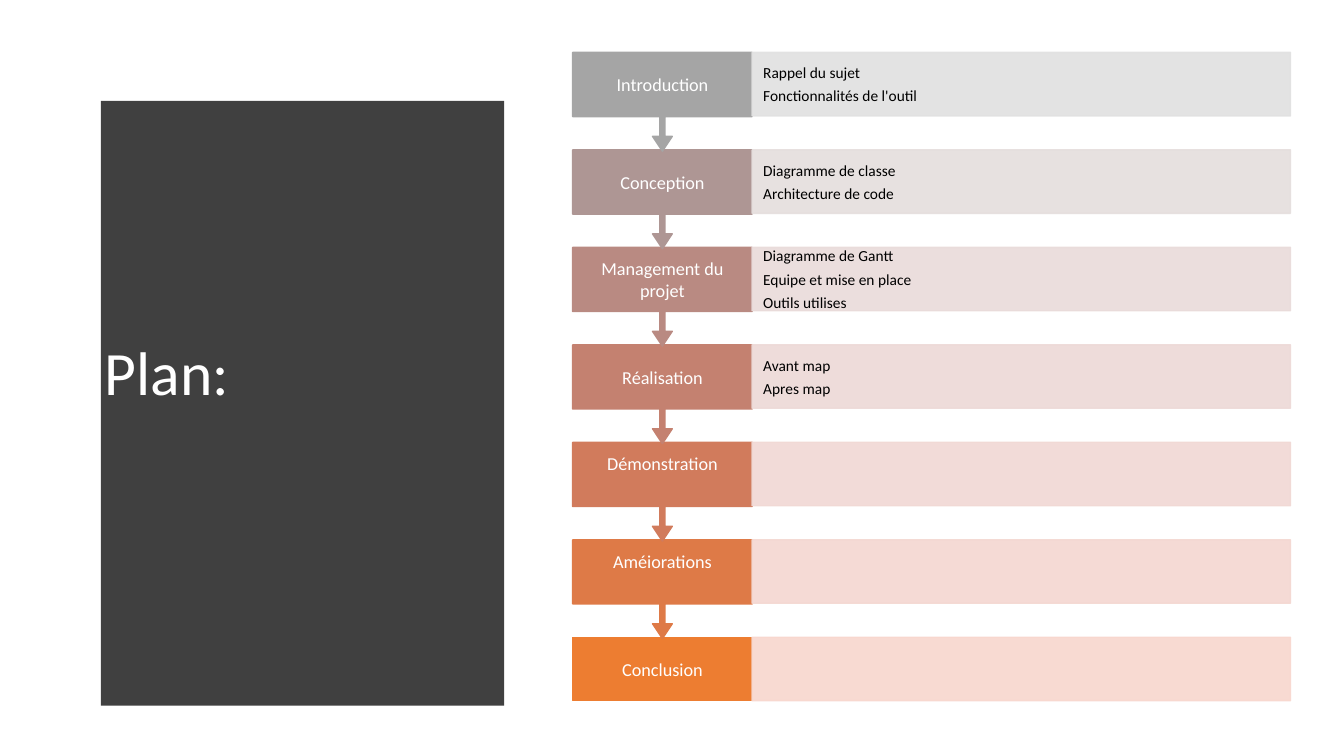
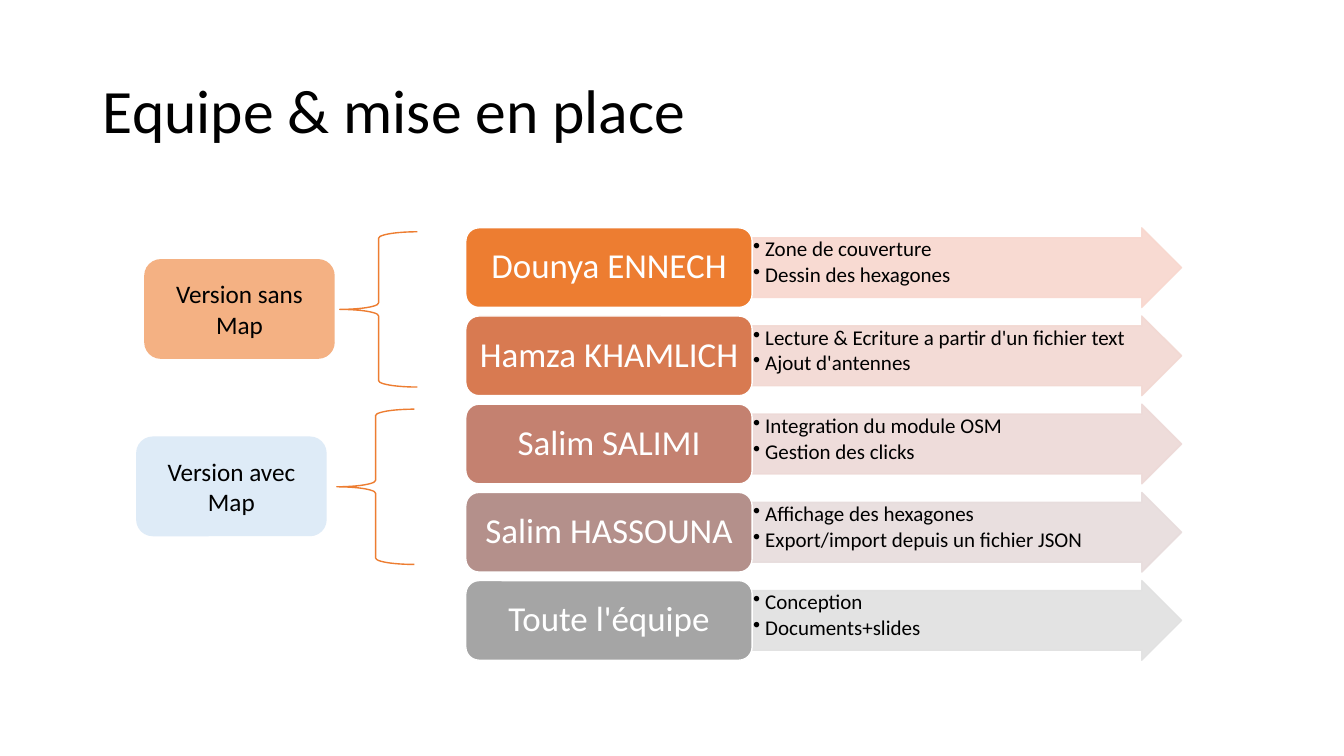
from dataclasses import dataclass

from lxml import etree
from pptx import Presentation
from pptx.dml.color import RGBColor
from pptx.enum.shapes import MSO_SHAPE
from pptx.enum.text import MSO_ANCHOR, PP_ALIGN
from pptx.oxml.ns import qn
from pptx.util import Inches, Pt

RECTANGLE = MSO_SHAPE.RECTANGLE
ROUNDED = MSO_SHAPE.ROUNDED_RECTANGLE
CALLOUT = MSO_SHAPE.DOWN_ARROW_CALLOUT
ARROW = MSO_SHAPE.RIGHT_ARROW
BRACE = MSO_SHAPE.LEFT_BRACE
TOP, MIDDLE = MSO_ANCHOR.TOP, MSO_ANCHOR.MIDDLE
LEFT, CENTER = PP_ALIGN.LEFT, PP_ALIGN.CENTER

FONT = "Calibri"
TITLE_ONLY = 5
SLIDE_W, SLIDE_H = 13.33, 7.5
COLORS = {
    "white": "FFFFFF", "black": "000000", "panel": "404040",
    "orange": "ED7D31", "peach": "F4B183", "sky": "DEEBF7",
}


@dataclass(frozen=True)
class Box:
    left: float
    top: float
    width: float
    height: float

    def emu(self) -> list[int]:
        return [Inches(v) for v in (self.left, self.top, self.width, self.height)]


@dataclass(frozen=True)
class Rows:
    """Equal rows with a label column and a detail column."""
    left: float
    top: float
    pitch: float
    height: float
    label_width: float
    detail_width: float

    def label(self, row: int) -> Box:
        return Box(self.left, self.top + row * self.pitch, self.label_width, self.height)

    def detail(self, row: int) -> Box:
        return Box(self.left + self.label_width, self.top + row * self.pitch,
                   self.detail_width, self.height)


@dataclass(frozen=True)
class TextStyle:
    size: float
    color: str = "white"
    align: PP_ALIGN = CENTER
    anchor: MSO_ANCHOR = MIDDLE
    insets: tuple[float, float, float, float] = (0.1, 0.05, 0.1, 0.05)
    line_spacing: float = 1.0
    space_after: float = 0
    bullet_indent: float = 0


@dataclass(frozen=True)
class Entry:
    label: str
    color: str
    tint: str
    details: tuple[str, ...] = ()
    raised: bool = False


@dataclass(frozen=True)
class Version:
    label: str
    color: str
    box: Box
    brace: Box


PLAN_ROWS = Rows(5.68, 0.52, 0.967, 0.63, 1.78, 5.34)
CALLOUT_HEIGHT = 0.98
CALLOUT_ADJUSTMENTS = (0.05, 0.1, 0.15, 0.65)
TEAM_ROWS = Rows(4.62, 2.26, 0.875, 0.79, 2.84, 4.26)

TITLE = TextStyle(44, "black", LEFT, line_spacing=0.9)
PANEL_TITLE = TextStyle(44, "white", LEFT, line_spacing=0.9)
STEP = TextStyle(13, insets=(0.13, 0.1, 0.13, 0.1))
RAISED_STEP = TextStyle(13, insets=(0.13, 0.1, 0.13, 0.32))
STEP_DETAIL = TextStyle(11, "black", LEFT, insets=(0.11, 0.15, 0.11, 0.15),
                        space_after=3.5)
MEMBER = TextStyle(25, line_spacing=0.9)
TASK = TextStyle(15, "black", LEFT, TOP, (0.01, 0.01, 0.01, 0.01), 0.9, 2.25, 0.12)
VERSION = TextStyle(18, "black")

PLAN = (
    Entry("Introduction", "A5A5A5", "E1E1E1",
          ("Rappel du sujet", "Fonctionnalités de l'outil")),
    Entry("Conception", "AE9694", "E5DEDD",
          ("Diagramme de classe", "Architecture de code")),
    Entry("Management du projet", "B98A82", "E9DBDA",
          ("Diagramme de Gantt", "Equipe et mise en place", "Outils utilises")),
    Entry("Réalisation", "C48170", "EDD9D7", ("Avant map", "Apres map")),
    Entry("Démonstration", "D17B5C", "F1D8D4", raised=True),
    Entry("Améiorations", "DE7A47", "F4D7D1", raised=True),
    Entry("Conclusion", COLORS["orange"], "F8D7CE"),
)
TEAM = (
    Entry("Dounya ENNECH", COLORS["orange"], "F8D7CE",
          ("Zone de couverture", "Dessin des hexagones")),
    Entry("Hamza KHAMLICH", "D87A51", "F2D8D2",
          ("Lecture & Ecriture a partir d'un fichier text", "Ajout d'antennes")),
    Entry("Salim SALIMI", "C48170", "EDD9D7",
          ("Integration du module OSM", "Gestion des clicks")),
    Entry("Salim HASSOUNA", "B4908B", "E7DCDC",
          ("Affichage des hexagones", "Export/import depuis un fichier JSON")),
    Entry("Toute l'équipe", "A5A5A5", "E1E1E1", ("Conception", "Documents+slides")),
)
VERSIONS = (
    Version("Version sans Map", COLORS["peach"],
            Box(1.43, 2.57, 1.89, 0.99), Box(3.37, 2.3, 0.77, 1.54)),
    Version("Version avec Map", COLORS["sky"],
            Box(1.35, 4.33, 1.89, 0.99), Box(3.34, 4.06, 0.77, 1.54)),
)


def paint(shape, fill: str, line: str | None = None) -> None:
    shape.shadow.inherit = False
    shape.fill.solid()
    shape.fill.fore_color.rgb = RGBColor.from_string(fill)
    if line is None:
        shape.line.fill.background()
    else:
        shape.line.color.rgb = RGBColor.from_string(line)
        shape.line.width = Pt(1)


def make_translucent(shape) -> None:
    """Set fill and line to 90 % opacity."""
    for color in shape.element.spPr.iter(qn("a:srgbClr")):
        etree.SubElement(color, qn("a:alpha"), val="90000")


def add_bullet(paragraph, indent: float) -> None:
    properties = paragraph._p.get_or_add_pPr()
    properties.set("marL", str(Inches(indent)))
    properties.set("indent", str(-Inches(indent)))
    etree.SubElement(properties, qn("a:buChar"), char="•")


def write(shape, lines: tuple[str, ...], style: TextStyle) -> None:
    frame = shape.text_frame
    frame.word_wrap = True
    frame.vertical_anchor = style.anchor
    (frame.margin_left, frame.margin_top,
     frame.margin_right, frame.margin_bottom) = map(Inches, style.insets)
    for index, line in enumerate(lines):
        paragraph = frame.add_paragraph() if index else frame.paragraphs[0]
        if style.bullet_indent:
            add_bullet(paragraph, style.bullet_indent)
        paragraph.alignment = style.align
        paragraph.line_spacing = style.line_spacing
        paragraph.space_after = Pt(style.space_after)
        run = paragraph.add_run()
        run.text = line
        run.font.name = FONT
        run.font.size = Pt(style.size)
        run.font.color.rgb = RGBColor.from_string(COLORS[style.color])


def add_block(slide, kind: MSO_SHAPE, box: Box, fill: str, line: str | None = None,
              adjustments: tuple[float, ...] = ()):
    block = slide.shapes.add_shape(kind, *box.emu())
    for index, value in enumerate(adjustments):
        block.adjustments[index] = value
    paint(block, fill, line)
    return block


def add_titled_slide(deck, text: str, box: Box, style: TextStyle):
    slide = deck.slides.add_slide(deck.slide_layouts[TITLE_ONLY])
    title = slide.shapes.title
    title.left, title.top, title.width, title.height = box.emu()
    write(title, (text,), style)
    return slide


def add_curved_panel(slide) -> None:
    """Dark panel behind the title, its right edge bulging as a parabola."""
    left, edge, top, bottom, bulge, steps = 0.53, 5.08, 0.52, 6.96, 0.24, 40
    curve = []
    for step in range(steps + 1):
        share = step / steps
        curve.append((edge + bulge * 4 * share * (1 - share),
                      top + (bottom - top) * share))
    builder = slide.shapes.build_freeform(left, top, scale=Inches(1))
    builder.add_line_segments([*curve, (left, bottom)], close=True)
    panel = builder.convert_to_shape()
    paint(panel, COLORS["panel"])
    slide.shapes.title.element.addprevious(panel.element)


def build_plan(deck) -> None:
    slide = add_titled_slide(deck, "Plan:", Box(0.94, 1.11, 3.74, 5.24), PANEL_TITLE)
    add_curved_panel(slide)
    last = len(PLAN) - 1
    for row, entry in reversed(list(enumerate(PLAN))):
        cell = PLAN_ROWS.label(row)
        if row == last:
            step = add_block(slide, RECTANGLE, cell, entry.color, entry.color)
        else:
            box = Box(cell.left, cell.top, cell.width, CALLOUT_HEIGHT)
            step = add_block(slide, CALLOUT, box, entry.color, entry.color,
                             CALLOUT_ADJUSTMENTS)
        write(step, (entry.label,), RAISED_STEP if entry.raised else STEP)
        band = add_block(slide, RECTANGLE, PLAN_ROWS.detail(row), entry.tint, entry.tint)
        make_translucent(band)
        write(band, entry.details, STEP_DETAIL)


def build_team(deck) -> None:
    slide = add_titled_slide(deck, "Equipe & mise en place",
                             Box(0.92, 0.4, 11.5, 1.45), TITLE)
    for row, entry in enumerate(TEAM):
        tasks = add_block(slide, ARROW, TEAM_ROWS.detail(row), entry.tint, entry.tint,
                          (0.75, 0.5))
        make_translucent(tasks)
        write(tasks, entry.details, TASK)
        member = add_block(slide, ROUNDED, TEAM_ROWS.label(row), entry.color,
                           COLORS["white"])
        write(member, (entry.label,), MEMBER)
    for version in VERSIONS:
        label = add_block(slide, ROUNDED, version.box, version.color)
        write(label, (version.label,), VERSION)
        add_block(slide, BRACE, version.brace, COLORS["white"], COLORS["orange"])


def main() -> None:
    deck = Presentation()
    deck.slide_width, deck.slide_height = Inches(SLIDE_W), Inches(SLIDE_H)
    build_plan(deck)
    build_team(deck)
    deck.save("out.pptx")


if __name__ == "__main__":
    main()
